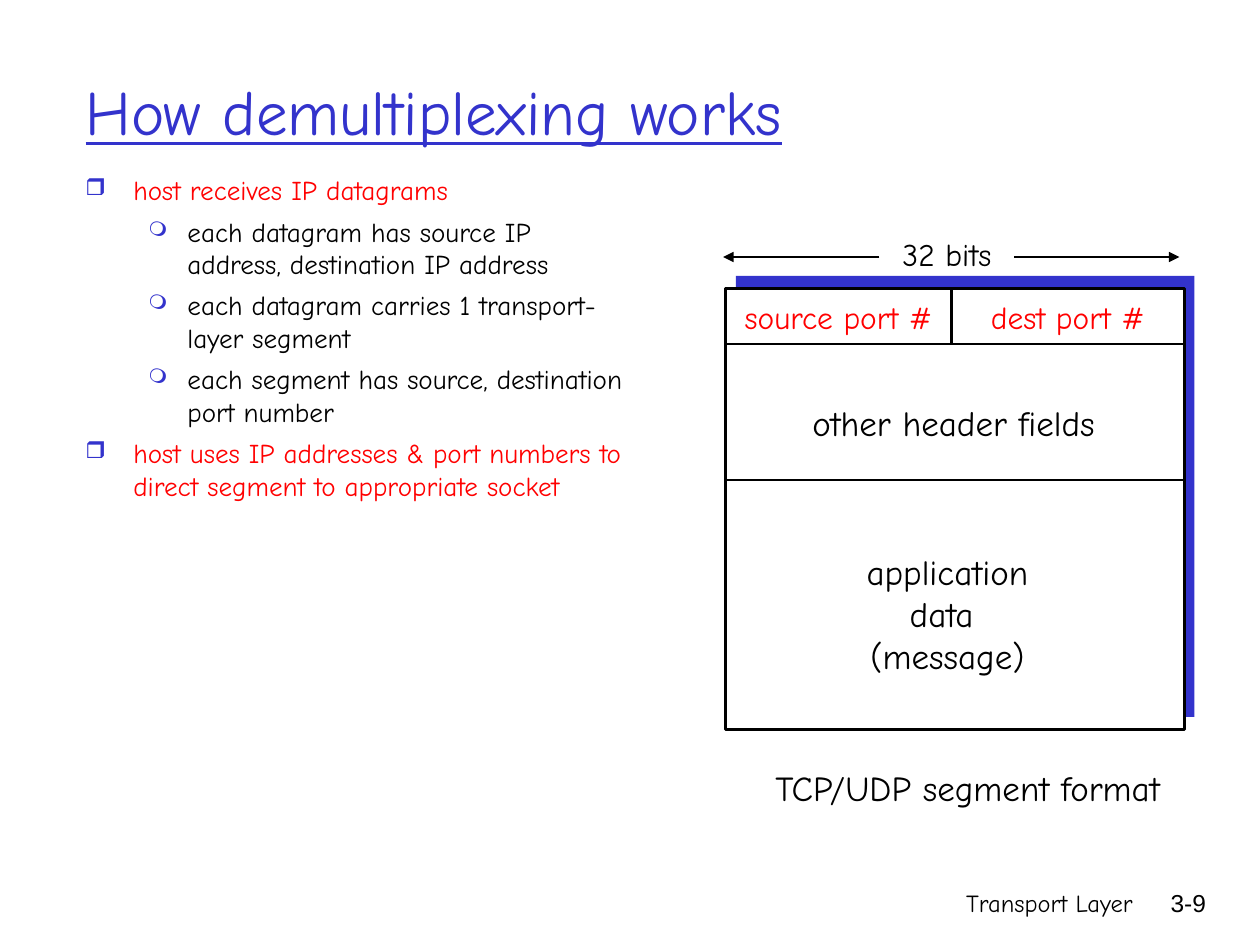
from dataclasses import dataclass

from lxml.etree import SubElement
from pptx import Presentation
from pptx.dml.color import RGBColor
from pptx.enum.shapes import MSO_CONNECTOR, MSO_SHAPE
from pptx.enum.text import MSO_ANCHOR, MSO_AUTO_SIZE, PP_ALIGN
from pptx.oxml.ns import qn
from pptx.util import Inches, Pt


@dataclass(frozen=True)
class Theme:
    font: str = "Comic Neue"
    number_font: str = "Arial"
    blue: str = "3333CC"
    red: str = "FF0000"
    black: str = "000000"
    white: str = "FFFFFF"
    title: float = 36
    body: float = 15.5
    large: float = 20
    label: float = 18
    footer: float = 14
    rule: float = 1.5


THEME = Theme()
SLIDE_WIDTH, SLIDE_HEIGHT = 10, 7.5
MARGIN = 0.58

TITLE = "How demultiplexing works"
POINTS = [
    (0, "host receives IP datagrams"),
    (1, "each datagram has source IP address, destination IP address"),
    (1, "each datagram carries 1 transport-layer segment"),
    (1, "each segment has source, destination port number"),
    (0, "host uses IP addresses & port numbers to direct segment to appropriate socket"),
]
BULLETS = [
    {"character": "❒", "percent": 85, "margin": 0.38, "hang": 0.38, "color": THEME.red},
    {"character": "❍", "percent": 75, "margin": 0.81, "hang": 0.31, "color": THEME.black},
]
PORTS = ["source port #", "dest port #"]
HEADER = "other header fields"
PAYLOAD = ["application", "data ", "(message)"]
WIDTH_LABEL = "32 bits"
CAPTION = "TCP/UDP segment format"
FOOTERS = [
    ("Transport Layer", THEME.font, 9.09, 3.17),
    ("3-9", THEME.number_font, 9.67, 0.74),
]

SEGMENT_LEFT, SEGMENT_TOP = 5.76, 2.29
COLUMN_WIDTHS = [1.79, 1.85]
ROW_HEIGHTS = [0.44, 1.08, 1.98]
SHADE_OFFSET = (0.08, -0.1)
ARROW_Y = 2.04
ARROW_GAP = (6.98, 8.05)


def edges(start, sizes):
    return [start + sum(sizes[:count]) for count in range(len(sizes) + 1)]


def middle(positions, index):
    return (positions[index] + positions[index + 1]) / 2


def write_text(paragraph, text, size=THEME.label, color=THEME.black, font=THEME.font,
               align=PP_ALIGN.LEFT, underline=None):
    paragraph.alignment = align
    run = paragraph.add_run()
    run.text = text
    run.font.name = font
    run.font.size = Pt(size)
    run.font.color.rgb = RGBColor.from_string(color)
    run.font.underline = underline


def add_frame(slide, left, top, width, height, wrap=True):
    box = slide.shapes.add_textbox(*map(Inches, (left, top, width, height)))
    box.text_frame.word_wrap = wrap
    return box.text_frame


def add_label(slide, lines, center_x, center_y, width, **style):
    height = 0.1 + len(lines) * style.get("size", THEME.label) / 60
    frame = add_frame(slide, center_x - width / 2, center_y - height / 2,
                      width, height, wrap=False)
    frame.auto_size = MSO_AUTO_SIZE.SHAPE_TO_FIT_TEXT
    for index, line in enumerate(lines):
        paragraph = frame.add_paragraph() if index else frame.paragraphs[0]
        write_text(paragraph, line, align=PP_ALIGN.CENTER, **style)


def add_bullet(paragraph, character, percent, margin, hang):
    properties = paragraph._p.get_or_add_pPr()
    properties.set("marL", str(Inches(margin)))
    properties.set("indent", str(-Inches(hang)))
    color = SubElement(properties, qn("a:buClr"))
    SubElement(color, qn("a:srgbClr"), val=THEME.blue)
    SubElement(properties, qn("a:buSzPct"), val=str(percent * 1000))
    SubElement(properties, qn("a:buChar"), char=character)


def add_rectangle(slide, left, top, width, height, fill, line=None):
    shape = slide.shapes.add_shape(MSO_SHAPE.RECTANGLE,
                                   *map(Inches, (left, top, width, height)))
    shape.shadow.inherit = False
    shape.fill.solid()
    shape.fill.fore_color.rgb = RGBColor.from_string(fill)
    if line:
        shape.line.color.rgb = RGBColor.from_string(line)
        shape.line.width = Pt(THEME.rule)
    else:
        shape.line.fill.background()


def add_line(slide, start, end, arrow=False):
    connector = slide.shapes.add_connector(MSO_CONNECTOR.STRAIGHT,
                                           *map(Inches, (*start, *end)))
    connector.line.color.rgb = RGBColor.from_string(THEME.black)
    connector.line.width = Pt(THEME.rule)
    if arrow:
        SubElement(connector.line._get_or_add_ln(), qn("a:tailEnd"), type="triangle")
    SubElement(connector._element.spPr, qn("a:effectLst"))


def add_title(slide):
    title = slide.shapes.title
    title.left, title.top, title.width, title.height = map(Inches, (MARGIN, 0.25, 8.5, 1.25))
    title.text_frame.auto_size = MSO_AUTO_SIZE.NONE
    title.text_frame.vertical_anchor = MSO_ANCHOR.MIDDLE
    write_text(title.text_frame.paragraphs[0], TITLE, size=THEME.title,
               color=THEME.blue, underline=True)


def add_points(slide):
    frame = add_frame(slide, MARGIN, 1.33, 4.5, 3.05)
    for index, (level, text) in enumerate(POINTS):
        paragraph = frame.add_paragraph() if index else frame.paragraphs[0]
        bullet = dict(BULLETS[level])
        color = bullet.pop("color")
        paragraph.level = level
        add_bullet(paragraph, **bullet)
        if index:
            paragraph.space_before = Pt(5)
        write_text(paragraph, text, size=THEME.body, color=color)


def add_segment(slide):
    columns = edges(SEGMENT_LEFT, COLUMN_WIDTHS)
    rows = edges(SEGMENT_TOP, ROW_HEIGHTS)
    left, right = columns[0], columns[-1]
    width, height = sum(COLUMN_WIDTHS), sum(ROW_HEIGHTS)
    center = (left + right) / 2

    add_rectangle(slide, left + SHADE_OFFSET[0], rows[0] + SHADE_OFFSET[1],
                  width, height, THEME.blue)
    add_rectangle(slide, left, rows[0], width, height, THEME.white, THEME.black)
    for y in rows[1:-1]:
        add_line(slide, (left, y), (right, y))
    add_line(slide, (columns[1], rows[1]), (columns[1], rows[0]))
    for start, end in zip(ARROW_GAP, (left - 0.02, right - 0.04)):
        add_line(slide, (start, ARROW_Y), (end, ARROW_Y), arrow=True)

    for index, (port, label_width) in enumerate(zip(PORTS, (1.72, 1.46))):
        add_label(slide, [port], middle(columns, index), middle(rows, 0) + 0.01,
                  label_width, color=THEME.red)
    add_label(slide, [WIDTH_LABEL], sum(ARROW_GAP) / 2, ARROW_Y - 0.02, 1)
    add_label(slide, [HEADER], center - 0.01, middle(rows, 1) + 0.08, 2.5, size=THEME.large)
    add_label(slide, PAYLOAD, center - 0.06, middle(rows, 2) + 0.07, 1.6, size=THEME.large)
    add_label(slide, [CAPTION], center + 0.1, rows[-1] + 0.46, 3.35, size=THEME.large)


def add_footers(slide):
    for text, font, right, width in FOOTERS:
        frame = add_frame(slide, right - width, SLIDE_HEIGHT - 0.5, width, 0.5)
        write_text(frame.paragraphs[0], text, size=THEME.footer, font=font,
                   align=PP_ALIGN.RIGHT)


def main():
    presentation = Presentation()
    presentation.slide_width = Inches(SLIDE_WIDTH)
    presentation.slide_height = Inches(SLIDE_HEIGHT)
    slide = presentation.slides.add_slide(presentation.slide_layouts[5])
    add_title(slide)
    add_points(slide)
    add_segment(slide)
    add_footers(slide)
    presentation.save("out.pptx")


if __name__ == "__main__":
    main()
